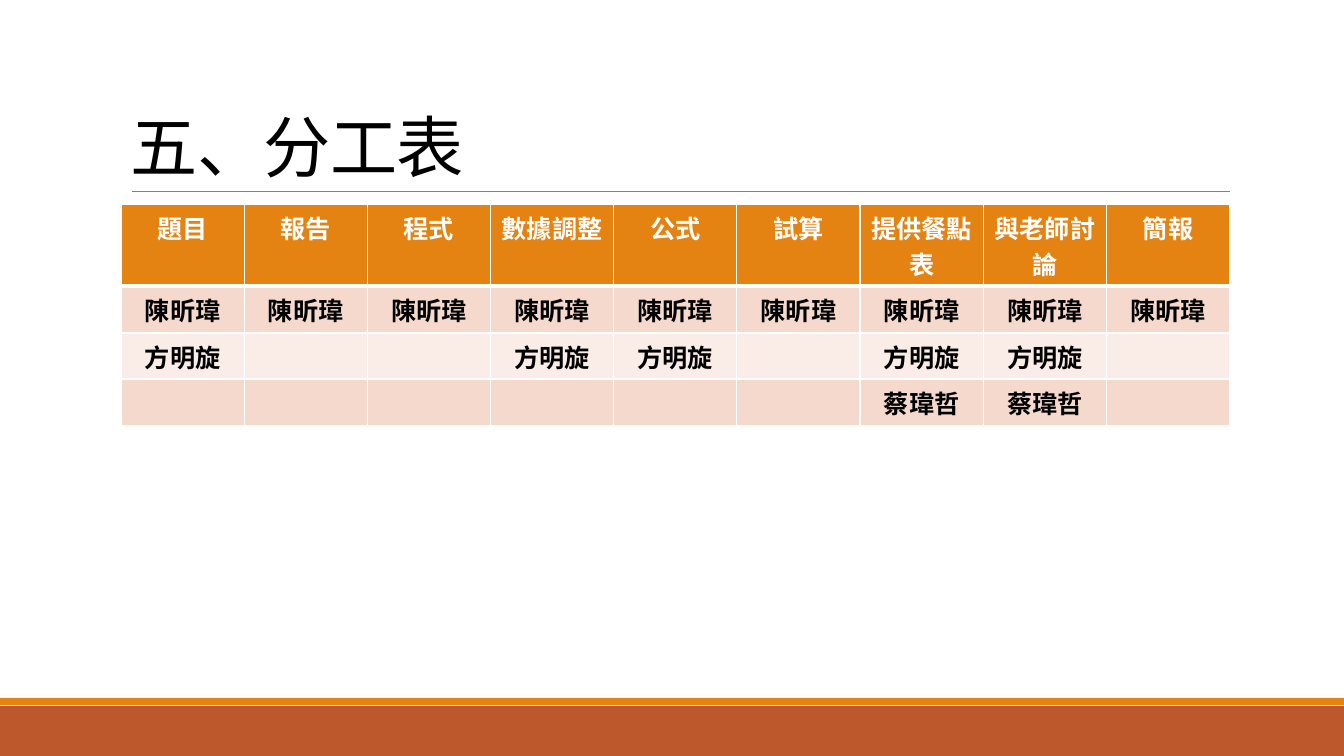
from lxml.etree import SubElement
from pptx import Presentation
from pptx.dml.color import RGBColor
from pptx.enum.shapes import MSO_CONNECTOR, MSO_SHAPE
from pptx.enum.text import MSO_ANCHOR, PP_ALIGN
from pptx.oxml import parse_xml
from pptx.oxml.ns import nsdecls, qn
from pptx.util import Pt

SCALE = 914400 / 100.8
COLORS = {
    "rust": "BD582C", "orange": "E48312", "rule": "808080",
    "white": "FFFFFF", "black": "000000",
    "band_dark": "F5D9CC", "band_light": "FAEDE7",
}


def px(length):
    return round(length * SCALE)


def color(name):
    return RGBColor.from_string(COLORS[name])


def write(frame, text, *, font, size, ink, bold=False,
          align=PP_ALIGN.LEFT, line_spacing=None, tracking=None):
    paragraph = frame.paragraphs[0]
    paragraph.alignment = align
    if line_spacing:
        paragraph.line_spacing = line_spacing
    run = paragraph.add_run()
    run.text = text
    run.font.name = font
    run.font.size = Pt(size)
    run.font.bold = bold
    run.font.color.rgb = color(ink)
    properties = run.font._element
    SubElement(properties, qn("a:ea")).set("typeface", font)
    if tracking is not None:
        properties.set("spc", str(round(tracking * 100)))


class SlideBuilder:
    def __init__(self, slide, font):
        self.slide = slide
        self.font = font

    def bar(self, left, top, width, height, fill):
        shape = self.slide.shapes.add_shape(
            MSO_SHAPE.RECTANGLE, px(left), px(top), px(width), px(height))
        shape.shadow.inherit = False
        shape.fill.solid()
        shape.fill.fore_color.rgb = color(fill)
        shape.line.fill.background()

    def rule(self, left, right, y, ink, weight):
        line = self.slide.shapes.add_connector(
            MSO_CONNECTOR.STRAIGHT, px(left), px(y), px(right), px(y))
        line.line.color.rgb = color(ink)
        line.line.width = Pt(weight)
        SubElement(line._element.spPr, qn("a:effectLst"))

    def title(self, text, left, top, width, height):
        frame = self.slide.shapes.add_textbox(
            px(left), px(top), px(width), px(height)).text_frame
        frame.word_wrap = True
        frame.vertical_anchor = MSO_ANCHOR.BOTTOM
        write(frame, text, font=self.font, size=48, ink="black",
              line_spacing=0.85, tracking=-0.5)

    def borders(self, cell, weights):
        for index, (side, weight) in enumerate(weights.items()):
            cell._tc.get_or_add_tcPr().insert(index, parse_xml(
                f'<a:ln{side} {nsdecls("a")} w="{Pt(weight)}"><a:solidFill>'
                f'<a:srgbClr val="{COLORS["white"]}"/></a:solidFill></a:ln{side}>'))

    def table(self, rows, left, top, column_width, row_heights):
        columns = len(rows[0])
        table = self.slide.shapes.add_table(
            len(rows), columns, px(left), px(top),
            px(column_width * columns), px(sum(row_heights))).table
        for column in table.columns:
            column.width = px(column_width)
        for r, (texts, height) in enumerate(zip(rows, row_heights)):
            table.rows[r].height = px(height)
            header = r == 0
            fill = "orange" if header else ("band_light", "band_dark")[r % 2]
            for c, text in enumerate(texts):
                cell = table.cell(r, c)
                cell.fill.solid()
                cell.fill.fore_color.rgb = color(fill)
                self.borders(cell, {"L": 1, "R": 1, "T": 3 if r == 1 else 1,
                                    "B": 3 if header else 1})
                if text:
                    write(cell.text_frame, text, font=self.font, size=18,
                          ink="white" if header else "black", bold=True,
                          align=PP_ALIGN.CENTER)


presentation = Presentation()
presentation.slide_width, presentation.slide_height = px(1344), px(756)
builder = SlideBuilder(
    presentation.slides.add_slide(presentation.slide_layouts[6]),
    "Noto Sans CJK SC")

# Footer bands and title rule
builder.bar(0, 706, 1344, 50, "rust")
builder.bar(0, 698, 1344, 7, "orange")
builder.rule(132, 1230, 191, "rule", 0.5)

# Title
builder.title("五、分工表", 121, 31, 1109, 160)

# Who works on each task
members_by_task = {
    "題目": ["陳昕瑋", "方明旋"],
    "報告": ["陳昕瑋"],
    "程式": ["陳昕瑋"],
    "數據調整": ["陳昕瑋", "方明旋"],
    "公式": ["陳昕瑋", "方明旋"],
    "試算": ["陳昕瑋"],
    "提供餐點表": ["陳昕瑋", "方明旋", "蔡瑋哲"],
    "與老師討論": ["陳昕瑋", "方明旋", "蔡瑋哲"],
    "簡報": ["陳昕瑋"],
}
team_size = max(map(len, members_by_task.values()))
assignments = [list(members_by_task)] + [
    [members[i] if i < len(members) else "" for members in members_by_task.values()]
    for i in range(team_size)]
builder.table(assignments, 121, 204, 123.2, [82, 47, 46, 47])

presentation.save("out.pptx")
